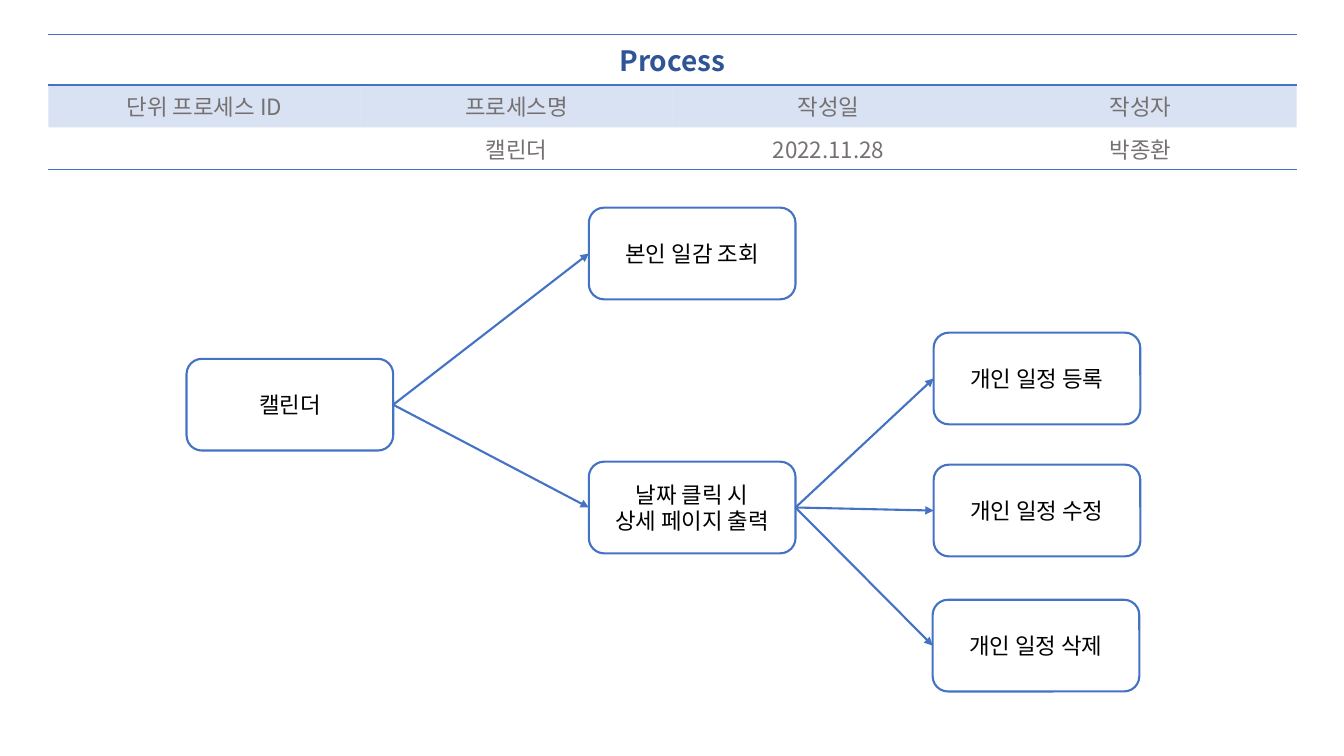
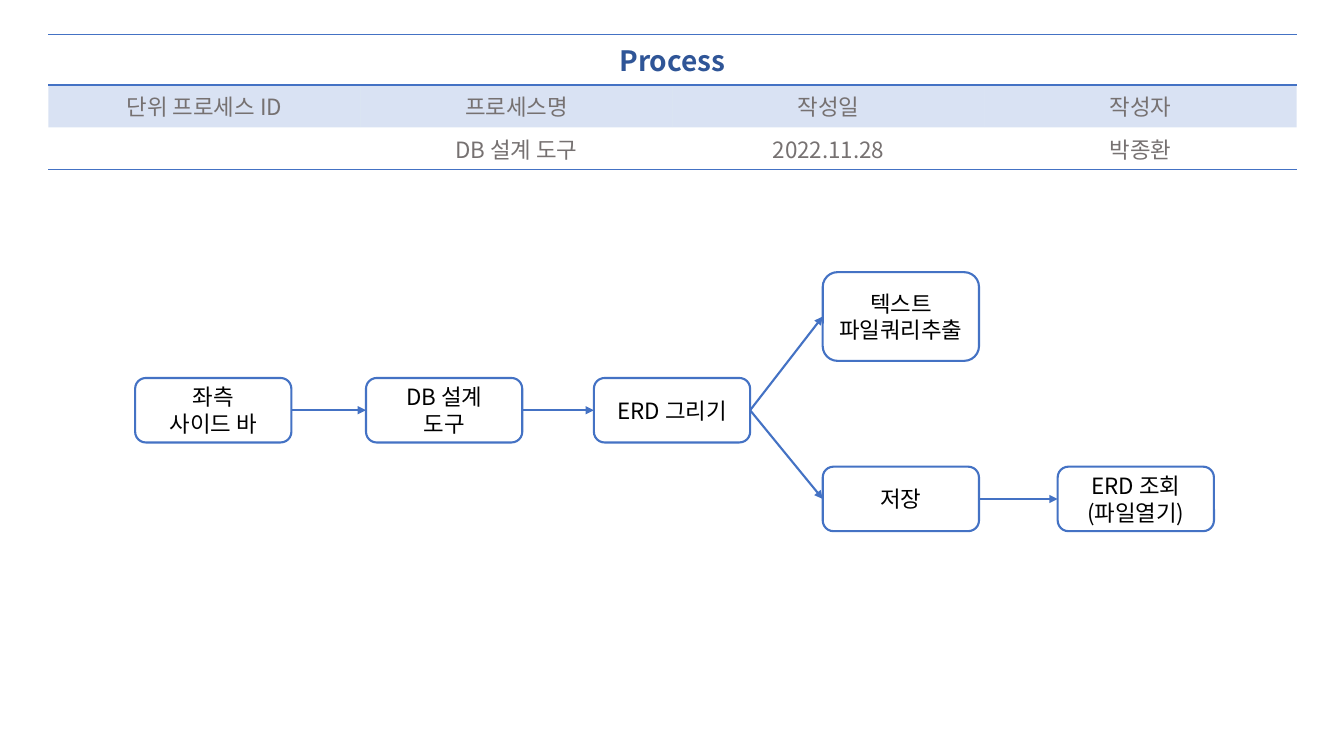
from lxml import etree
from pptx import Presentation
from pptx.dml.color import RGBColor
from pptx.enum import shapes, text
from pptx.oxml import ns
from pptx.util import Inches, Pt

FONT = "Noto Sans CJK KR"
BLUE, NAVY, GRAY, BLACK, WHITE = "4472C4", "2F5597", "767171", "000000", "FFFFFF"
PLAIN_TABLE = "{2D5ABB26-0587-4C30-8999-92F81FD0307C}"
TITLE = "Process"
HEADINGS = ["단위 프로세스 ID", "프로세스명", "작성일", "작성자"]
ROW_HEIGHTS = [0.46, 0.38, 0.38]
LEFT_SITE, RIGHT_SITE = 1, 3

SLIDES = [
    {
        "record": ["", "캘린더", "2022.11.28", "박종환"],
        "width": 2.05,
        "nodes": {
            "calendar": (1.85, 3.56, 0.91, ["캘린더"]),
            "tasks": (5.84, 2.06, 0.91, ["본인 일감 조회"]),
            "detail": (5.84, 4.58, 0.91, ["날짜 클릭 시", "상세 페이지 출력"]),
            "add": (9.26, 3.3, 0.91, ["개인 일정 등록"]),
            "edit": (9.26, 4.61, 0.91, ["개인 일정 수정"]),
            "delete": (9.25, 5.95, 0.91, ["개인 일정 삭제"]),
        },
        "arrows": [("calendar", "tasks"), ("calendar", "detail"),
                   ("detail", "add"), ("detail", "edit"), ("detail", "delete")],
    },
    {
        "record": ["", "DB 설계 도구", "2022.11.28", "박종환"],
        "width": 1.55,
        "nodes": {
            "sidebar": (1.34, 3.75, 0.64, ["좌측", "사이드 바"]),
            "tool": (3.63, 3.75, 0.64, ["DB 설계", "도구"]),
            "draw": (5.89, 3.75, 0.64, ["ERD 그리기"]),
            "export": (8.16, 2.7, 0.88, ["텍스트 파일쿼리추출"]),
            "save": (8.16, 4.63, 0.64, ["저장"]),
            "open": (10.49, 4.63, 0.64, ["ERD 조회", "(파일열기)"]),
        },
        "arrows": [("sidebar", "tool"), ("tool", "draw"), ("draw", "export"),
                   ("draw", "save"), ("save", "open")],
    },
]


def rgb(color):
    return RGBColor.from_string(color)


def add_xml(parent, tag, **attributes):
    return etree.SubElement(parent, ns.qn(tag), attributes)


def write(frame, lines, size, color, bold=False):
    for index, line in enumerate(lines):
        para = frame.paragraphs[0] if index == 0 else frame.add_paragraph()
        para.text = line
        para.alignment = text.PP_ALIGN.CENTER
        font = para.font
        font.size, font.bold, font.name = Pt(size), bold, FONT
        font.color.rgb = rgb(color)
        para_properties = para._p.get_or_add_pPr()
        add_xml(para_properties.find(ns.qn("a:defRPr")), "a:ea", typeface=FONT)


def add_border(cell, tag):
    line = add_xml(cell._tc.get_or_add_tcPr(), tag, w=str(Pt(1)))
    add_xml(add_xml(line, "a:solidFill"), "a:srgbClr", val=BLUE)


def add_header(page, record):
    frame = page.shapes.add_table(3, len(HEADINGS), Inches(0.48), Inches(0.34),
                                  Inches(12.38), Inches(sum(ROW_HEIGHTS)))
    table = frame.table
    table.first_row = table.horz_banding = False
    table._tbl.tblPr.find(ns.qn("a:tableStyleId")).text = PLAIN_TABLE
    for row, height in zip(table.rows, ROW_HEIGHTS):
        row.height = Inches(height)
    for column, (heading, value) in enumerate(zip(HEADINGS, record)):
        title, label, entry = (table.cell(row, column) for row in range(3))
        add_border(title, "a:lnT")
        add_border(title, "a:lnB")
        add_border(entry, "a:lnB")
        title.fill.background()
        entry.fill.background()
        label.fill.solid()
        label.fill.fore_color.rgb = rgb(BLUE)
        tint = label._tc.tcPr.find(".//" + ns.qn("a:srgbClr"))
        add_xml(tint, "a:alpha", val="20000")
        write(label.text_frame, [heading], 16, GRAY)
        write(entry.text_frame, [value], 16, GRAY)
    title = table.cell(0, 0)
    title.merge(table.cell(0, len(HEADINGS) - 1))
    write(title.text_frame, [TITLE], 20, NAVY, bold=True)


def add_node(page, left, top, width, height, lines):
    box = page.shapes.add_shape(shapes.MSO_SHAPE.ROUNDED_RECTANGLE, Inches(left),
                                Inches(top), Inches(width), Inches(height))
    box.shadow.inherit = False
    box.fill.solid()
    box.fill.fore_color.rgb = rgb(WHITE)
    box.line.color.rgb = rgb(BLUE)
    box.line.width = Pt(1.5)
    box.text_frame.word_wrap = True
    box.text_frame.vertical_anchor = text.MSO_ANCHOR.MIDDLE
    write(box.text_frame, lines, 16, BLACK)
    return box


def add_arrow(page, source, target):
    arrow = page.shapes.add_connector(shapes.MSO_CONNECTOR.STRAIGHT, 0, 0, 0, 0)
    arrow.begin_connect(source, RIGHT_SITE)
    arrow.end_connect(target, LEFT_SITE)
    arrow.line.color.rgb = rgb(BLUE)
    arrow.line.width = Pt(1.5)
    add_xml(arrow.line._get_or_add_ln(), "a:tailEnd", type="triangle")
    add_xml(arrow._element.spPr, "a:effectLst")


def main():
    deck = Presentation()
    deck.slide_width, deck.slide_height = Inches(13.33), Inches(7.5)
    for content in SLIDES:
        page = deck.slides.add_slide(deck.slide_layouts[6])
        add_header(page, content["record"])
        boxes = {
            name: add_node(page, left, top, content["width"], height, lines)
            for name, (left, top, height, lines) in content["nodes"].items()
        }
        for source, target in content["arrows"]:
            add_arrow(page, boxes[source], boxes[target])
    deck.save("out.pptx")


if __name__ == "__main__":
    main()
